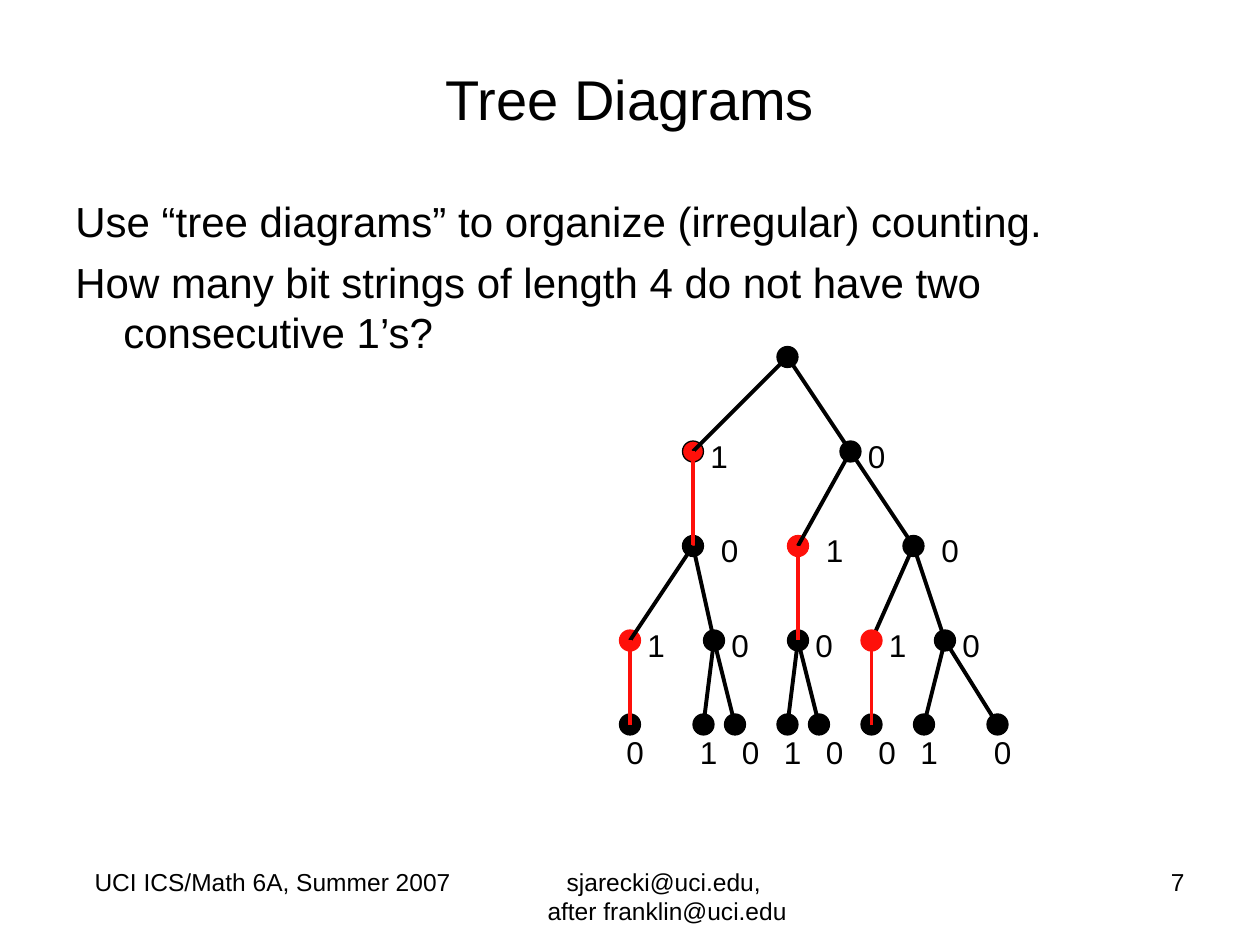
"""Build the slide on tree diagrams for counting bit strings."""
from lxml.etree import SubElement
from pptx import Presentation
from pptx.dml.color import RGBColor
from pptx.enum.shapes import MSO_CONNECTOR, MSO_SHAPE
from pptx.enum.text import MSO_ANCHOR, MSO_AUTO_SIZE, PP_ALIGN
from pptx.oxml.ns import qn
from pptx.util import Inches, Pt

COLORS = {"black": "000000", "red": "FE100A"}
UNIT = 1 / 12
NODE = 2 * UNIT
LABEL_W, LABEL_H = 5 * UNIT, 0.4

TITLE = ("Tree Diagrams", (0.5, 0.3, 9, 0.95))
BODY = (["Use “tree diagrams” to organize (irregular) counting.",
         "How many bit strings of length 4 do not have two consecutive 1’s?"],
        (0.5, 1.5, 8.42, 1.42))
FOOTERS = [
    (["UCI ICS/Math 6A, Summer 2007"], (0.58, 6.83, 3.17, 0.52), PP_ALIGN.CENTER),
    (["sjarecki@uci.edu, ", "after franklin@uci.edu"], (4.17, 6.83, 2.25, 0.57),
     PP_ALIGN.CENTER),
    (["7"], (7.17, 6.83, 2.33, 0.52), PP_ALIGN.RIGHT),
]

# Each level: row, label row offset, nodes as (column, bit, parent, label column offset)
LEVELS = [
    (34, 0, [(75, "", None, 0)]),
    (43, -2, [(66, "1", 0, 0), (81, "0", 0, 0)]),
    (52, -2, [(66, "0", 0, 1), (76, "1", 1, 1), (87, "0", 1, 1)]),
    (61, -2, [(60, "1", 0, 0), (68, "0", 0, 0), (76, "0", 1, 0),
              (83, "1", 2, 0), (90, "0", 2, 0)]),
    (69, 0.2, [(60, "0", 0, -2), (67, "1", 1, -2), (70, "0", 1, -1),
               (75, "1", 2, -2), (78, "0", 2, -1), (83, "0", 3, -1),
               (88, "1", 4, -2), (95, "0", 4, -2)]),
]
LEAF = len(LEVELS) - 1
FRONT = (3, 3)


def rgb(name):
    return RGBColor.from_string(COLORS[name])


def write(shape, lines, size, align, **para):
    tf = shape.text_frame
    tf.word_wrap, tf.auto_size = True, MSO_AUTO_SIZE.NONE
    for i, line in enumerate(lines):
        p = tf.paragraphs[0] if i == 0 else tf.add_paragraph()
        p.alignment = align
        if i:
            p.space_before = para.get("space", Pt(0))
        if "hang" in para:
            indent = Inches(para["hang"])
            p._p.get_or_add_pPr().set("marL", str(indent))
            p._p.get_or_add_pPr().set("indent", str(-indent))
        r = p.add_run()
        r.text = line
        for key, value in {"size": Pt(size), "name": "Arial"}.items():
            setattr(r.font, key, value)
        r.font.color.rgb = rgb("black")
    return tf


def add_text(s, lines, box, size, align, **para):
    write(s.shapes.add_textbox(*map(Inches, box)), lines, size, align, **para)


def color_of(level, index):
    bit = LEVELS[level][2][index][1]
    return "red" if bit == "1" and level < LEAF else "black"


def center(level, index):
    row, _, nodes = LEVELS[level]
    return nodes[index][0] * UNIT, row * UNIT


def add_node(s, level, index):
    x, y = center(level, index)
    box = (x - NODE / 2, y - NODE / 2, NODE, NODE)
    sp = s.shapes.add_shape(MSO_SHAPE.OVAL, *map(Inches, box))
    sp.shadow.inherit = False
    color = color_of(level, index)
    sp.fill.solid()
    sp.fill.fore_color.rgb = rgb(color)
    sp.line.color.rgb = rgb("black" if level == 1 else color)
    sp.line.width = Pt(0.75)


def add_edge(s, level, index, parent):
    ends = center(level - 1, parent) + center(level, index)
    line = s.shapes.add_connector(MSO_CONNECTOR.STRAIGHT, *map(Inches, ends))
    line.line.color.rgb = rgb(color_of(level - 1, parent))
    line.line.width = Pt(2.25)
    SubElement(line._element.spPr, qn("a:effectLst"))


def add_tree(s):
    tree = [(level, i, node) for level, (_, _, nodes) in enumerate(LEVELS)
            for i, node in enumerate(nodes)]
    for level, i, (column, bit, _, shift) in tree:
        if (level, i) != FRONT:
            add_node(s, level, i)
        if bit:
            row, drop, _ = LEVELS[level]
            box = ((column + shift) * UNIT, (row + drop) * UNIT, LABEL_W, LABEL_H)
            add_text(s, [bit], box, 18, PP_ALIGN.CENTER)
    for level, i, (_, _, parent, _) in tree:
        if parent is not None:
            add_edge(s, level, i, parent)
    add_node(s, *FRONT)


def main():
    prs = Presentation()
    prs.slide_width, prs.slide_height = Inches(10), Inches(7.5)
    s = prs.slides.add_slide(prs.slide_layouts[5])
    title = s.shapes.title
    for key, value in zip(("left", "top", "width", "height"), TITLE[1]):
        setattr(title, key, Inches(value))
    write(title, [TITLE[0]], 32, PP_ALIGN.CENTER).vertical_anchor = MSO_ANCHOR.MIDDLE
    add_text(s, *BODY, 24, PP_ALIGN.LEFT, space=Pt(6), hang=0.38)
    add_tree(s)
    for lines, box, align in FOOTERS:
        add_text(s, lines, box, 14, align)
    prs.save("out.pptx")


if __name__ == "__main__":
    main()
